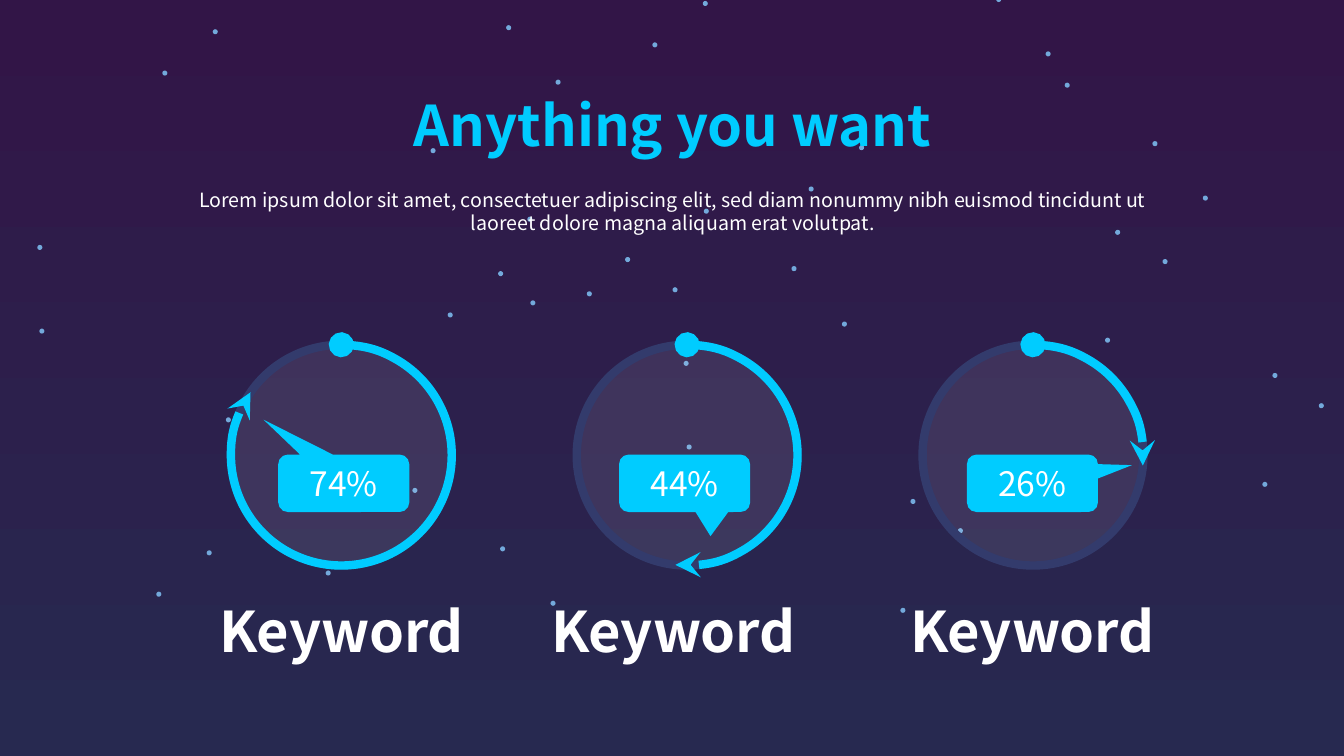
from dataclasses import dataclass

from lxml import etree
from pptx import Presentation
from pptx.dml.color import RGBColor
from pptx.enum.shapes import MSO_SHAPE
from pptx.enum.text import MSO_ANCHOR, MSO_AUTO_SIZE, PP_ALIGN
from pptx.oxml.ns import qn
from pptx.util import Inches, Pt

OVAL, ARC = MSO_SHAPE.OVAL, MSO_SHAPE.ARC
CALLOUT = MSO_SHAPE.ROUNDED_RECTANGULAR_CALLOUT
TOP, MIDDLE = MSO_ANCHOR.TOP, MSO_ANCHOR.MIDDLE
CENTER = PP_ALIGN.CENTER
NO_FIT = MSO_AUTO_SIZE.NONE


@dataclass(frozen=True)
class Theme:
    font: str = "Noto Sans CJK SC"
    sky_top: str = "321547"
    sky_bottom: str = "272950"
    star: str = "73A9DB"
    accent: str = "00CCFF"
    track: str = "333B6C"
    white: str = "FFFFFF"
    heading: int = 40
    value: int = 24
    body: int = 14
    ring: int = 6


THEME = Theme()
STAR_SIZE = 0.05
STARS = [
    (11.43, 1.4), (6.81, 4.41), (8.02, 1.85), (8.52, 1.44), (5.82, 2.89),
    (6.78, 3.58), (10.56, 0.82), (11.93, 1.94), (13.08, 4), (12.62, 3.7),
    (12.52, 4.78), (7.85, 2.64), (3.23, 5.66), (4.44, 3.1), (4.94, 2.69),
    (2.24, 4.14), (3.2, 4.83), (6.98, 2.07), (8.35, 3.19), (9.5, 5.24),
    (9.03, 4.95), (8.93, 6.03), (5.02, 0.25), (0.39, 3.26), (1.61, 0.7),
    (2.11, 0.29), (0.37, 2.43), (5.51, 0.79), (6.67, 2.85), (6.2, 2.55),
    (6.1, 3.63), (9.88, -0.03), (5.26, 2.98), (6.47, 0.42), (6.97, 0.01),
    (4.27, 1.47), (5.23, 2.15), (10.37, 0.51), (11.53, 2.57), (11.06, 2.28),
    (10.96, 3.35), (4.96, 5.42), (1.55, 5.87), (2.05, 5.46), (4.09, 4.84),
    (5.46, 5.96),
]
DIAL_LEFT, DIAL_TOP, DIAL_SIZE, DIAL_PITCH = 2.29, 3.42, 2.19, 3.43
DIALS = [
    ("74%", 214.71, 0.47, (-0.612, -1.107), -0.22),
    ("44%", 96.08, 0.42, (0.198, 0.92), -0.36),
    ("26%", 5.4, 0.44, (0.759, -0.315), -0.23),
]


def rgb(color):
    return RGBColor.from_string(color)


def place(sp, x, y, w, h):
    sp.left, sp.top, sp.width, sp.height = map(Inches, (x, y, w, h))


def write(sp, text, size, color, bold=False, anchor=TOP):
    tf = sp.text_frame
    tf.text = text
    tf.word_wrap = True
    tf.auto_size = NO_FIT
    tf.vertical_anchor = anchor
    p = tf.paragraphs[0]
    p.alignment = CENTER
    p.space_before = Pt(0)
    font = p.runs[0].font
    font.name, font.size, font.bold = THEME.font, Pt(size), bold
    font.color.rgb = rgb(color)
    for tag in ("a:ea", "a:cs"):
        etree.SubElement(p.runs[0].font._element, qn(tag), typeface=THEME.font)
    return p


def add_shape(s, kind, x, y, w, h, fill=None, line=None):
    sp = s.shapes.add_shape(kind, *map(Inches, (x, y, w, h)))
    sp.shadow.inherit = False
    if fill:
        sp.fill.solid()
        sp.fill.fore_color.rgb = rgb(fill)
    else:
        sp.fill.background()
    if line:
        sp.line.color.rgb = rgb(line)
        sp.line.width = Pt(THEME.ring)
    else:
        sp.line.fill.background()
    return sp


def add_sky(s):
    fill = s.background.fill
    fill.gradient()
    fill.gradient_angle = 270
    for stop, color in zip(fill.gradient_stops, (THEME.sky_top, THEME.sky_bottom)):
        stop.color.rgb = rgb(color)
    for x, y in STARS:
        add_shape(s, OVAL, x, y, STAR_SIZE, STAR_SIZE, THEME.star)


def add_heading(s, x, y, w):
    title, body = s.shapes.title, s.placeholders[1]
    place(title, x + 1.53, y, w - 3.07, 0.77)
    write(title, "Anything you want", THEME.heading, THEME.accent, True)
    place(body, x, y + 0.96, w, 0.57)
    p = write(body, "Lorem ipsum dolor sit amet, consectetuer adipiscing elit, "
              "sed diam nonummy nibh euismod tincidunt ut laoreet dolore magna "
              "aliquam erat volutpat.", THEME.body, THEME.white)
    pPr = p._p.get_or_add_pPr()
    pPr.set("marL", "0")
    pPr.set("indent", "0")
    etree.SubElement(pPr, qn("a:buNone"))
    for sp in (title, body):
        s.shapes.element.append(sp.element)


def add_dial(s, x, y, size, value, end_angle, callout_dx, pointer, label_dx):
    track = add_shape(s, OVAL, x, y, size, size, THEME.white, THEME.track)
    color = track.element.spPr.find(qn("a:solidFill"))[0]
    etree.SubElement(color, qn("a:alpha"), val="9000")

    arc = add_shape(s, ARC, x, y, size, size, line=THEME.accent)
    for i, angle in enumerate((270, end_angle)):
        arc.adjustments[i] = angle * 0.6
    ln = arc.element.spPr.find(qn("a:ln"))
    for tag, kind in (("a:headEnd", "oval"), ("a:tailEnd", "stealth")):
        etree.SubElement(ln, qn(tag), type=kind)

    callout = add_shape(s, CALLOUT, x + callout_dx, y + 1.09, 1.3, 0.57, THEME.accent)
    for i, offset in enumerate(pointer):
        callout.adjustments[i] = offset
    write(callout, value, THEME.value, THEME.white, anchor=MIDDLE)

    label = s.shapes.add_textbox(*map(Inches, (x + label_dx, y + 2.45, 2.64, 0.77)))
    write(label, "Keyword", THEME.heading, THEME.white, True)


def main():
    prs = Presentation()
    prs.slide_width, prs.slide_height = Inches(13.33), Inches(7.5)
    s = prs.slides.add_slide(prs.slide_layouts[1])
    add_sky(s)
    add_heading(s, 1.77, 0.85, 9.81)
    for i, dial in enumerate(DIALS):
        add_dial(s, DIAL_LEFT + i * DIAL_PITCH, DIAL_TOP, DIAL_SIZE, *dial)
    prs.save("out.pptx")


if __name__ == "__main__":
    main()
